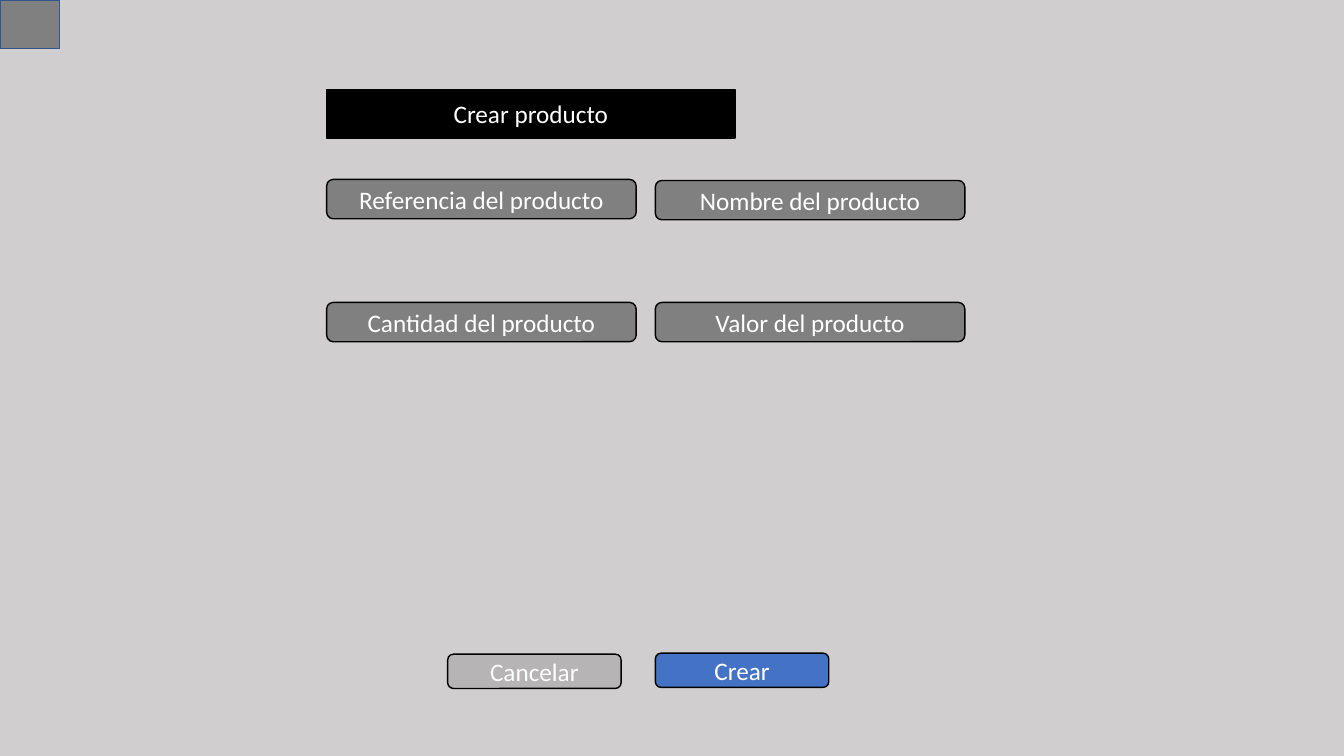
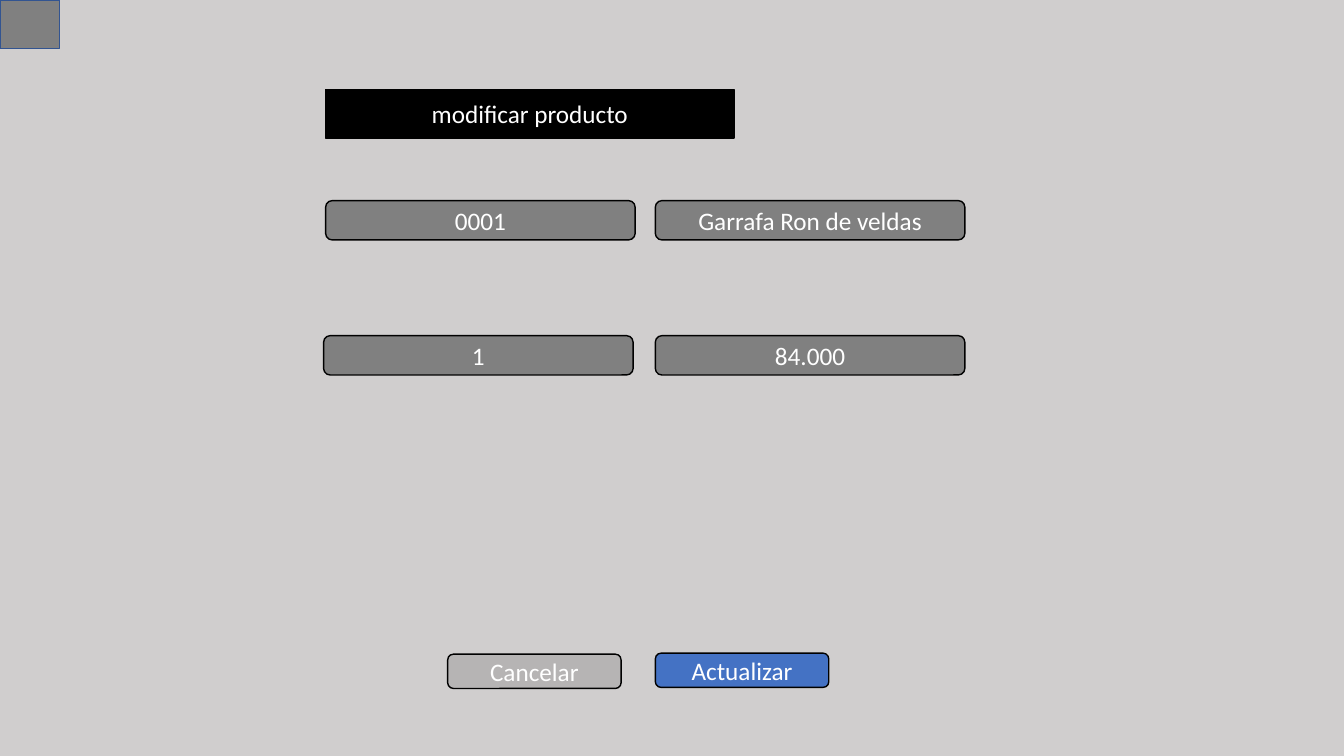
"""Build the product forms: one slide to create a product, one to modify it."""
from lxml.etree import SubElement
from pptx import Presentation
from pptx.dml.color import RGBColor
from pptx.enum.shapes import MSO_SHAPE
from pptx.enum.text import MSO_ANCHOR, MSO_AUTO_SIZE, PP_ALIGN
from pptx.oxml.ns import qn
from pptx.util import Inches, Pt

BACKGROUND = RGBColor(0xD0, 0xCE, 0xCE)
GRAY = RGBColor(0x80, 0x80, 0x80)
BLACK = RGBColor(0x00, 0x00, 0x00)
WHITE = RGBColor(0xFF, 0xFF, 0xFF)
BLUE = RGBColor(0x44, 0x72, 0xC4)
NAVY = RGBColor(0x32, 0x54, 0x91)

FONT = {"name": "Calibri", "size": Pt(18), "bold": False}
FRAME = {"word_wrap": True, "auto_size": MSO_AUTO_SIZE.NONE,
         "vertical_anchor": MSO_ANCHOR.MIDDLE}
RIGHT_COL = 6.5
FIELD_SIZE = (3.07, 0.39)
BUTTON_SIZE = (1.72, 0.34)
TITLE_SIZE = (4.05, 0.48)

FORMS = [
    {"title": "Crear producto", "left": 3.24, "action": "Crear",
     "fields": [("Referencia del producto", 3.24, 1.78),
                ("Nombre del producto", RIGHT_COL, 1.79),
                ("Cantidad del producto", 3.24, 3),
                ("Valor del producto", RIGHT_COL, 3)]},
    {"title": "modificar producto", "left": 3.23, "action": "Actualizar",
     "fields": [("0001", 3.23, 1.99),
                ("Garrafa Ron de veldas", RIGHT_COL, 1.99),
                ("1", 3.21, 3.33),
                ("84.000", RIGHT_COL, 3.33)]},
]


def style(sp, fill, line=BLACK, text=""):
    sp.fill.solid()
    sp.fill.fore_color.rgb = fill
    sp.line.color.rgb = line
    sp.line.width = Pt(1)
    if not text:
        return
    tf = sp.text_frame
    for name, value in FRAME.items():
        setattr(tf, name, value)
    p = tf.paragraphs[0]
    p.alignment = PP_ALIGN.CENTER
    r = p.add_run()
    r.text = text
    for name, value in FONT.items():
        setattr(r.font, name, value)
    r.font.color.rgb = WHITE


def add_box(s, left, top, size, fill, line=BLACK, text="",
            kind=MSO_SHAPE.ROUNDED_RECTANGLE):
    sp = s.shapes.add_shape(kind, *map(Inches, (left, top, *size)))
    sp.shadow.inherit = False
    style(sp, fill, line, text)
    return sp


prs = Presentation()
prs.slide_width, prs.slide_height = Inches(13.33), Inches(7.5)
master_fill = prs.slide_master.background.fill
master_fill.solid()
master_fill.fore_color.rgb = BACKGROUND

for form in FORMS:
    s = prs.slides.add_slide(prs.slide_layouts[5])

    title = s.shapes.title
    title.left, title.top = Inches(form["left"]), Inches(0.89)
    title.width, title.height = map(Inches, TITLE_SIZE)
    geometry = SubElement(title._element.spPr, qn("a:prstGeom"), prst="roundRect")
    SubElement(geometry, qn("a:avLst"))
    style(title, BLACK, text=form["title"])

    for label, left, top in form["fields"]:
        add_box(s, left, top, FIELD_SIZE, GRAY, text=label)

    cancel = add_box(s, 4.44, 6.49, BUTTON_SIZE, BLACK, text="Cancelar")
    tint = cancel._element.spPr.find(qn("a:solidFill")).find(qn("a:srgbClr"))
    SubElement(tint, qn("a:alpha"), val="12000")
    add_box(s, RIGHT_COL, 6.48, BUTTON_SIZE, BLUE, text=form["action"])

    add_box(s, 0, 0, (0.59, 0.48), GRAY, NAVY, kind=MSO_SHAPE.RECTANGLE)

prs.save("out.pptx")
